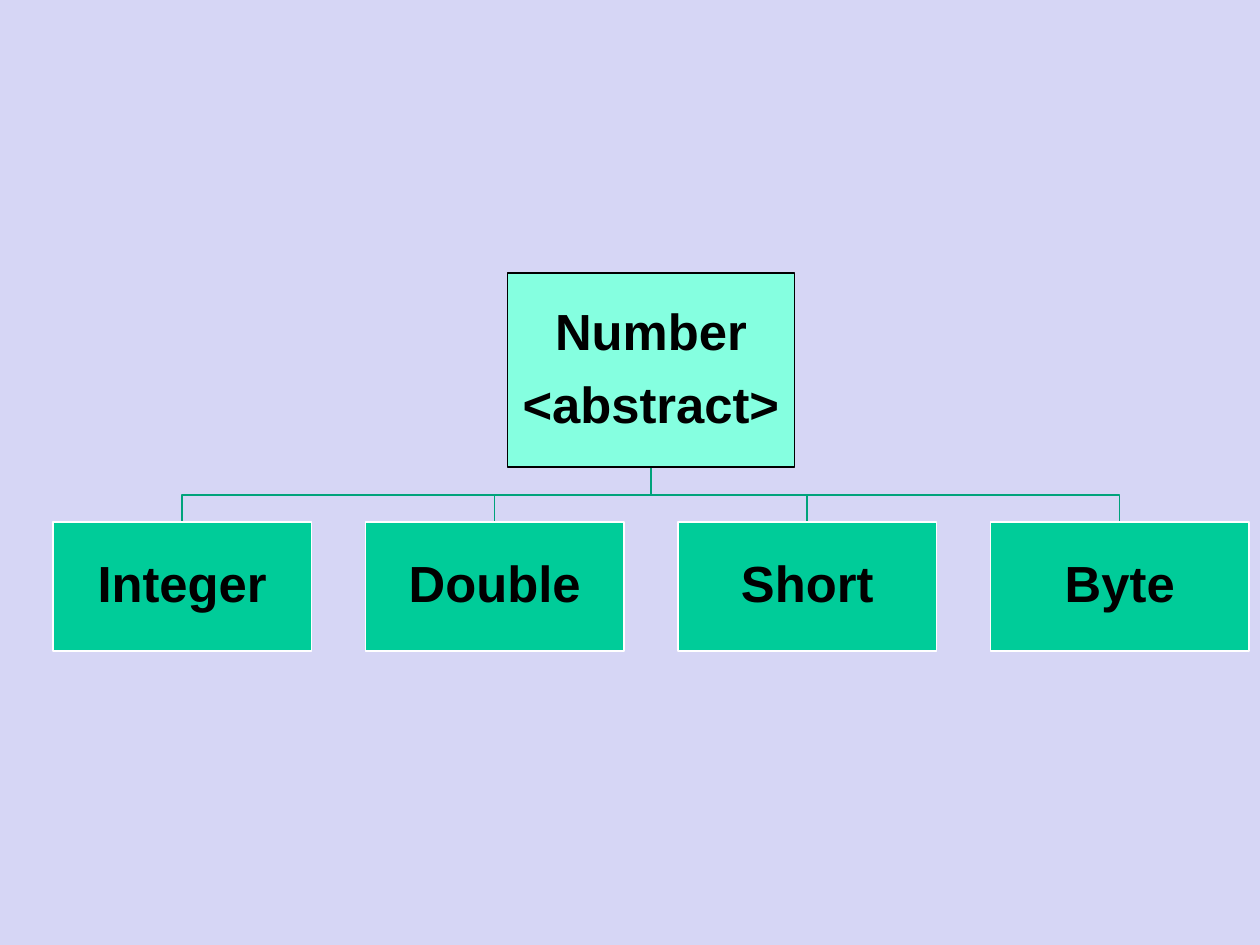
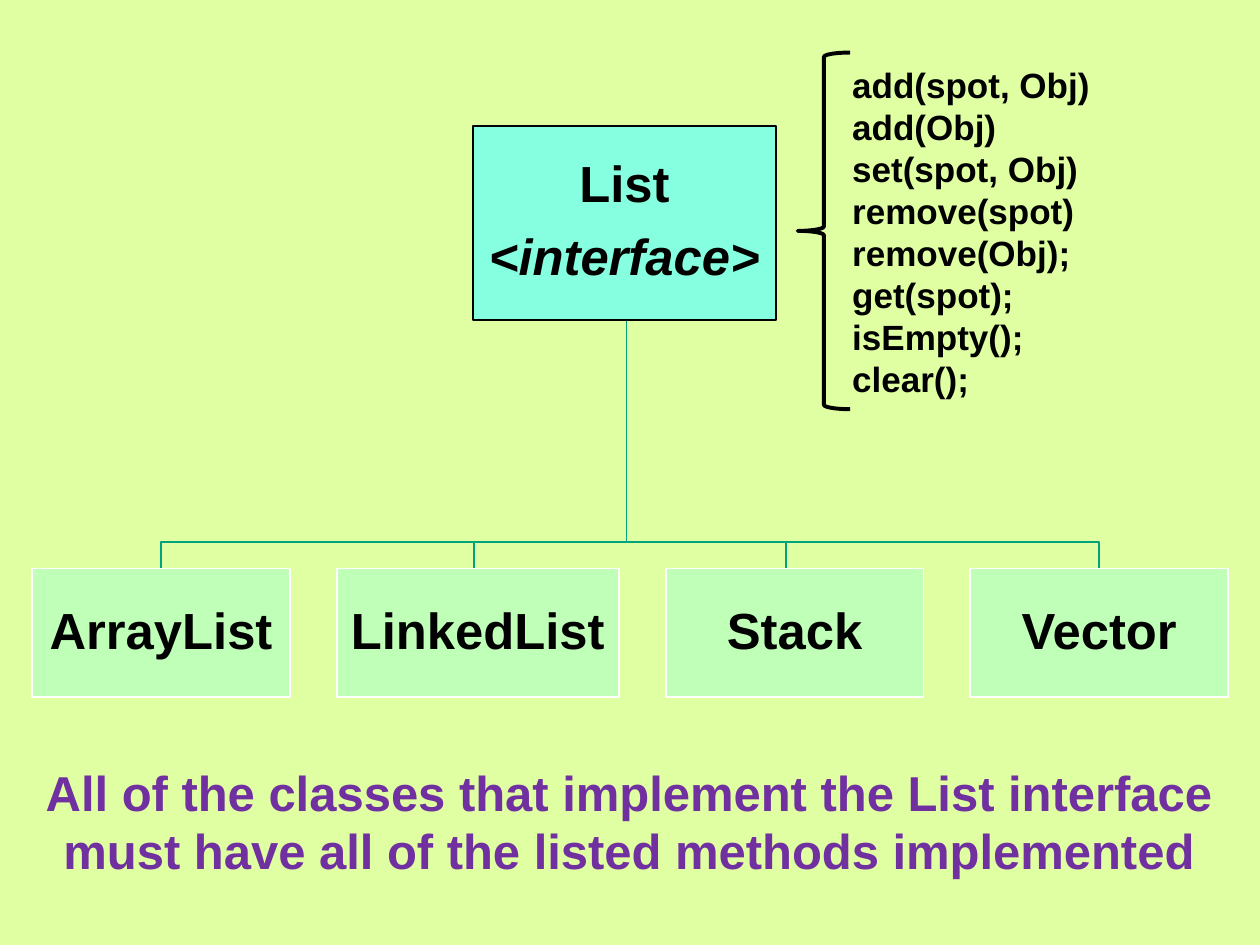
from dataclasses import dataclass

from lxml.etree import SubElement
from pptx import Presentation
from pptx.dml.color import RGBColor
from pptx.enum.shapes import MSO_SHAPE
from pptx.enum.text import MSO_ANCHOR, MSO_AUTO_SIZE, PP_ALIGN
from pptx.oxml.ns import qn
from pptx.slide import Slide
from pptx.util import Cm, Length, Pt

BLACK = RGBColor(0x00, 0x00, 0x00)
WHITE = RGBColor(0xFF, 0xFF, 0xFF)
LAVENDER = RGBColor(0xD6, 0xD6, 0xF5)
LIME = RGBColor(0xE0, 0xFF, 0xA3)
AQUA = RGBColor(0x85, 0xFF, 0xE0)
GREEN = RGBColor(0x00, 0xCC, 0x99)
DARK_GREEN = RGBColor(0x00, 0xA3, 0x7B)
PURPLE = RGBColor(0x70, 0x30, 0xA0)

FONT = "Arial"
BUS_RISE = Cm(0.54)
DROP_PITCH = Cm(6.3)
PARENT_HEIGHT = Cm(3.91)
CHILD_HEIGHT = Cm(2.6)
TEXT_INSET = Cm(0.05)

LIST_METHODS = [
    "add(spot, Obj)", "add(Obj)", "set(spot, Obj)", "remove(spot)",
    "remove(Obj);", "get(spot);", "isEmpty();", "clear();",
]


@dataclass(frozen=True)
class Box:
    lines: list[str]
    left: Length
    top: Length
    width: Length
    height: Length
    fill: RGBColor
    outline: RGBColor
    opacity: int = 100
    italic_last: bool = False


@dataclass(frozen=True)
class Hierarchy:
    """A parent box over a row of child boxes; drops are evenly spaced."""
    parent: Box
    children: list[Box]
    trunk: Length
    first_drop: Length


def add_run(paragraph, text: str, size: int, color: RGBColor, italic: bool = False) -> None:
    run = paragraph.add_run()
    run.text = text
    font = run.font
    font.name, font.size, font.bold = FONT, Pt(size), True
    font.color.rgb = color
    if italic:
        font.italic = True


def paragraph_at(text_frame, index: int):
    return text_frame.add_paragraph() if index else text_frame.paragraphs[0]


def add_box(slide: Slide, box: Box) -> None:
    shape = slide.shapes.add_shape(
        MSO_SHAPE.RECTANGLE, box.left, box.top, box.width, box.height)
    shape.shadow.inherit = False
    shape.fill.solid()
    shape.fill.fore_color.rgb = box.fill
    if box.opacity < 100:
        color = shape.fill._xPr.find(qn("a:solidFill"))[0]
        SubElement(color, qn("a:alpha"), val=str(box.opacity * 1000))
    shape.line.color.rgb = box.outline
    shape.line.width = Pt(1)

    frame = shape.text_frame
    frame.word_wrap = True
    frame.vertical_anchor = MSO_ANCHOR.MIDDLE
    frame.margin_left = frame.margin_right = TEXT_INSET
    frame.margin_top = frame.margin_bottom = TEXT_INSET
    for index, line in enumerate(box.lines):
        paragraph = paragraph_at(frame, index)
        paragraph.alignment = PP_ALIGN.CENTER
        paragraph.line_spacing = 0.9
        paragraph.space_after = Pt(10.5)
        is_last = index == len(box.lines) - 1
        add_run(paragraph, line, 29, BLACK, box.italic_last and is_last)


def add_branch(slide: Slide, trunk: int, top: int, drop: int, bottom: int) -> None:
    """Draw an elbow line from the parent down, across and down to a child."""
    bus = bottom - BUS_RISE
    builder = slide.shapes.build_freeform(trunk, top)
    builder.add_line_segments([(trunk, bus), (drop, bus), (drop, bottom)], close=False)
    branch = builder.convert_to_shape()
    branch.shadow.inherit = False
    branch.fill.background()
    branch.line.color.rgb = DARK_GREEN
    branch.line.width = Pt(1)


def add_hierarchy(slide: Slide, hierarchy: Hierarchy) -> None:
    parent = hierarchy.parent
    for index, child in reversed(list(enumerate(hierarchy.children))):
        add_branch(slide, hierarchy.trunk, parent.top + parent.height,
                   hierarchy.first_drop + index * DROP_PITCH, child.top)
    for box in [parent, *hierarchy.children]:
        add_box(slide, box)


def child_row(names: list[str], widths: list[float], left: float, top: float,
              gap: float, fill: RGBColor, opacity: int = 100) -> list[Box]:
    boxes = []
    for name, width in zip(names, widths):
        boxes.append(Box([name], Cm(left), Cm(top), Cm(width), CHILD_HEIGHT,
                         fill, WHITE, opacity))
        left += width + gap
    return boxes


def add_text(slide: Slide, lines: list[str], left: Length, top: Length, width: Length,
             height: Length, size: int, color: RGBColor, align: PP_ALIGN, wrap: bool) -> None:
    frame = slide.shapes.add_textbox(left, top, width, height).text_frame
    frame.word_wrap = wrap
    frame.auto_size = MSO_AUTO_SIZE.SHAPE_TO_FIT_TEXT
    for index, line in enumerate(lines):
        paragraph = paragraph_at(frame, index)
        paragraph.alignment = align
        add_run(paragraph, line, size, color)


def add_slide(presentation, background: RGBColor) -> Slide:
    slide = presentation.slides.add_slide(presentation.slide_layouts[6])
    slide.background.fill.solid()
    slide.background.fill.fore_color.rgb = background
    return slide


def build_number_slide(presentation) -> None:
    slide = add_slide(presentation, LAVENDER)
    number = Box(["Number", "<abstract>"], Cm(10.23), Cm(5.51), Cm(5.79),
                 PARENT_HEIGHT, AQUA, BLACK)
    subclasses = child_row(["Integer", "Double", "Short", "Byte"], [5.21] * 4,
                           left=1.07, top=10.52, gap=1.09, fill=GREEN)
    add_hierarchy(slide, Hierarchy(number, subclasses, Cm(13.12), Cm(3.67)))


def build_list_slide(presentation) -> None:
    slide = add_slide(presentation, LIME)
    list_box = Box(["List", "<interface>"], Cm(9.53), Cm(2.54), Cm(6.12),
                   PARENT_HEIGHT, AQUA, BLACK, italic_last=True)
    classes = child_row(["ArrayList", "LinkedList", "Stack", "Vector"],
                        [5.2, 5.69, 5.2, 5.2],
                        left=0.65, top=11.46, gap=0.94, fill=AQUA, opacity=35)
    add_hierarchy(slide, Hierarchy(list_box, classes, Cm(12.63), Cm(3.25)))

    add_text(slide, LIST_METHODS, Cm(16.93), Cm(1.15), Cm(5.33), Cm(7.09),
             20, BLACK, PP_ALIGN.LEFT, wrap=False)
    brace = slide.shapes.add_shape(
        MSO_SHAPE.LEFT_BRACE, Cm(16.08), Cm(1.06), Cm(1.06), Cm(7.19))
    brace.shadow.inherit = False
    brace.fill.background()
    brace.line.color.rgb = BLACK
    brace.line.width = Pt(2.25)

    add_text(slide, ["All of the classes that implement the List interface "
                     "must have all of the listed methods implemented"],
             Cm(0.59), Cm(15.24), Cm(24.18), Cm(2.64),
             28, PURPLE, PP_ALIGN.CENTER, wrap=True)


def main() -> None:
    presentation = Presentation()
    presentation.slide_width, presentation.slide_height = Cm(25.4), Cm(19.05)
    build_number_slide(presentation)
    build_list_slide(presentation)
    presentation.save("out.pptx")


if __name__ == "__main__":
    main()
